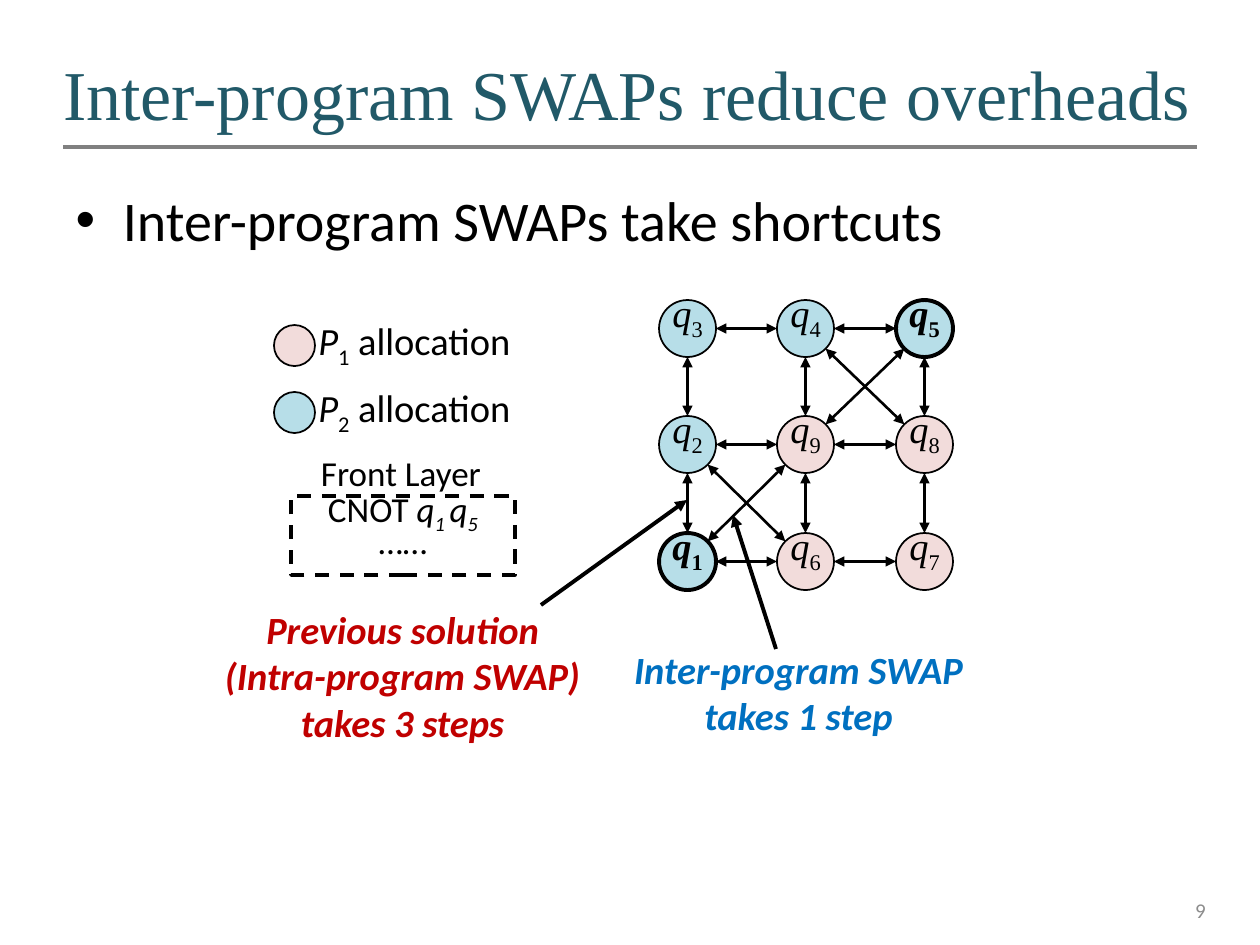
from math import sqrt

from lxml import etree
from pptx import Presentation
from pptx import util as u
from pptx.dml.color import RGBColor
from pptx.enum import dml, shapes, text
from pptx.oxml import ns

PX = 914400 / 126
BLACK, PINK, BLUE = "000000", "F2DCDB", "B7DEE8"
NODE = 57
COLUMNS, ROWS = (659, 777, 896), (300, 416, 533)
QUBITS = ("345", "298", "167")
FIRST_PROGRAM, GATE_QUBITS = "6789", "15"
LEFT, CENTER, RIGHT = text.PP_ALIGN.LEFT, text.PP_ALIGN.CENTER, text.PP_ALIGN.RIGHT
ITALIC = {"italic": True}
SUB = {"sub": True}


def px(*lengths):
    return [u.Emu(round(length * PX)) for length in lengths]


def paint(color_format, color):
    color_format.rgb = RGBColor.from_string(color)


def set_values(target, values):
    for name, value in values.items():
        setattr(target, name, value)


def write(shape, paragraphs, size, color=BLACK, font="Calibri", align=CENTER,
          spacing=None, base=None, **frame):
    """Fill a shape with paragraphs, each a list of (words, format) spans."""
    box = shape.text_frame
    set_values(box, {"word_wrap": True, **frame})
    for index, spans in enumerate(paragraphs):
        para = box.add_paragraph() if index else box.paragraphs[0]
        para.alignment = align
        if spacing:
            para.line_spacing = u.Pt(spacing)
        for words, style in spans:
            span = para.add_run()
            span.text = words
            values = {"name": font, "size": u.Pt(size), **(base or {}), **style}
            if values.pop("sub", False):
                span._r.get_or_add_rPr().set("baseline", "-25000")
            set_values(span.font, values)
            paint(span.font.color, color)


def add_label(parent, place, paragraphs, size, **options):
    box = parent.add_textbox(*px(*place))
    write(box, paragraphs, size, **options)


def add_outline(parent, kind, place, fill=None, width=1.0):
    shape = parent.add_shape(kind, *px(*place))
    shape.shadow.inherit = False
    if fill:
        shape.fill.solid()
        paint(shape.fill.fore_color, fill)
    else:
        shape.fill.background()
    paint(shape.line.color, BLACK)
    shape.line.width = u.Pt(width)
    return shape


def add_line(parent, start, end, width, color=BLACK, arrows=()):
    line = parent.add_connector(shapes.MSO_CONNECTOR.STRAIGHT, *px(*start, *end))
    paint(line.line.color, color)
    line.line.width = u.Pt(width)
    outline = line.line._get_or_add_ln()
    for arrow in arrows:
        etree.SubElement(outline, ns.qn(f"a:{arrow}"), type="triangle")
    etree.SubElement(line._element.spPr, ns.qn("a:effectLst"))


def add_node(parent, column, row):
    number = QUBITS[row][column]
    bold = number in GATE_QUBITS
    fill = PINK if number in FIRST_PROGRAM else BLUE
    node = add_outline(parent, shapes.MSO_SHAPE.OVAL,
                       (COLUMNS[column], ROWS[row], NODE, NODE), fill, 2.25 if bold else 1)
    write(node, [[("q", ITALIC), (number, SUB)]], 22, font="Times New Roman", spacing=15,
          base={"bold": bold}, word_wrap=False, vertical_anchor=text.MSO_ANCHOR.MIDDLE,
          margin_left=0, margin_top=0, margin_right=0, margin_bottom=0)


def add_link(parent, column, row, right, down):
    """Join a node to the neighbour that is right columns and down rows away."""
    radius = NODE / 2
    reach = radius / sqrt(2) if right and down else radius
    start = (COLUMNS[column] + radius + right * reach, ROWS[row] + radius + down * reach)
    end = (COLUMNS[column + right] + radius - right * reach,
           ROWS[row + down] + radius - down * reach)
    add_line(parent, start, end, 1.5, arrows=("headEnd", "tailEnd"))


def add_coupling_map(parent):
    for row in range(3):
        for column in range(3):
            if column < 2:
                add_link(parent, column, row, 1, 0)
            if row < 2:
                add_link(parent, column, row, 0, 1)
    for column, row in ((1, 0), (0, 1)):
        add_link(parent, column, row, 1, 1)
        add_link(parent, column + 1, row, -1, 1)
    for row in range(3):
        for column in range(3):
            add_node(parent, column, row)


def add_legend(page, top, number, fill):
    group = page.shapes.add_group_shape().shapes
    add_outline(group, shapes.MSO_SHAPE.OVAL, (274, top + 14, 41, 41), fill)
    add_label(group, (306, top, 263, 59),
              [[("P", ITALIC), (number, SUB), (" allocation", {})]], 22, align=LEFT)


def add_front_layer(page):
    group = page.shapes.add_group_shape().shapes
    gates = add_outline(group, shapes.MSO_SHAPE.RECTANGLE, (291, 496, 224, 79), width=2)
    gates.line.dash_style = dml.MSO_LINE.DASH
    low = {**ITALIC, **SUB}
    write(gates, [[("CNOT ", {}), ("q", ITALIC), ("1 ", low), ("q", ITALIC), ("5", low)],
                  [("……", {})]], 20, spacing=15, vertical_anchor=text.MSO_ANCHOR.MIDDLE)
    add_label(group, (289, 445, 224, 55), [[("Front Layer", {})]], 20)


def add_callout(page, place, lines, color, start, end):
    add_label(page.shapes, place, [[(line, {})] for line in lines], 22, color=color,
              base={"bold": True, "italic": True}, margin_left=0, margin_right=0)
    add_line(page.shapes, start, end, 2.25, arrows=("tailEnd",))


def fill_placeholder(holder, place, words, size, **options):
    set_values(holder, dict(zip(("left", "top", "width", "height"), px(*place))))
    write(holder, [[(words, {})]], size, align=LEFT, auto_size=text.MSO_AUTO_SIZE.NONE, **options)


def main():
    deck = Presentation()
    deck.slide_width, deck.slide_height = px(1260, 945)
    page = deck.slides.add_slide(deck.slide_layouts[1])

    # Heading, rule, list and page number
    fill_placeholder(page.shapes.title, (63, 38, 1134, 110),
                     "Inter-program SWAPs reduce overheads", 40, color="215968",
                     font="Times New Roman", margin_left=0, margin_right=0,
                     vertical_anchor=text.MSO_ANCHOR.MIDDLE)
    add_line(page.shapes, (63, 147), (1197, 147), 2.25, "808080")
    fill_placeholder(page.placeholders[1], (63, 179, 1134, 693),
                     "Inter-program SWAPs take shortcuts", 32)
    add_label(page.shapes, (924, 885, 294, 50), [[("9", {})]], 12, color="8C8C8C",
              align=RIGHT, vertical_anchor=text.MSO_ANCHOR.MIDDLE)

    # Qubit grid
    add_coupling_map(page.shapes)

    # Legend and pending gates
    add_legend(page, 311, "1", PINK)
    add_legend(page, 378, "2", BLUE)
    add_front_layer(page)

    # Comparison of both solutions
    add_callout(page, (218, 600, 369, 152),
                ["Previous solution", "(Intra-program SWAP) takes 3 steps"],
                "C00000", (541, 605), (687, 500))
    add_callout(page, (614, 640, 369, 106), ["Inter-program SWAP takes 1 step"],
                "0070C0", (776, 649), (733, 515))
    deck.save("out.pptx")


if __name__ == "__main__":
    main()
